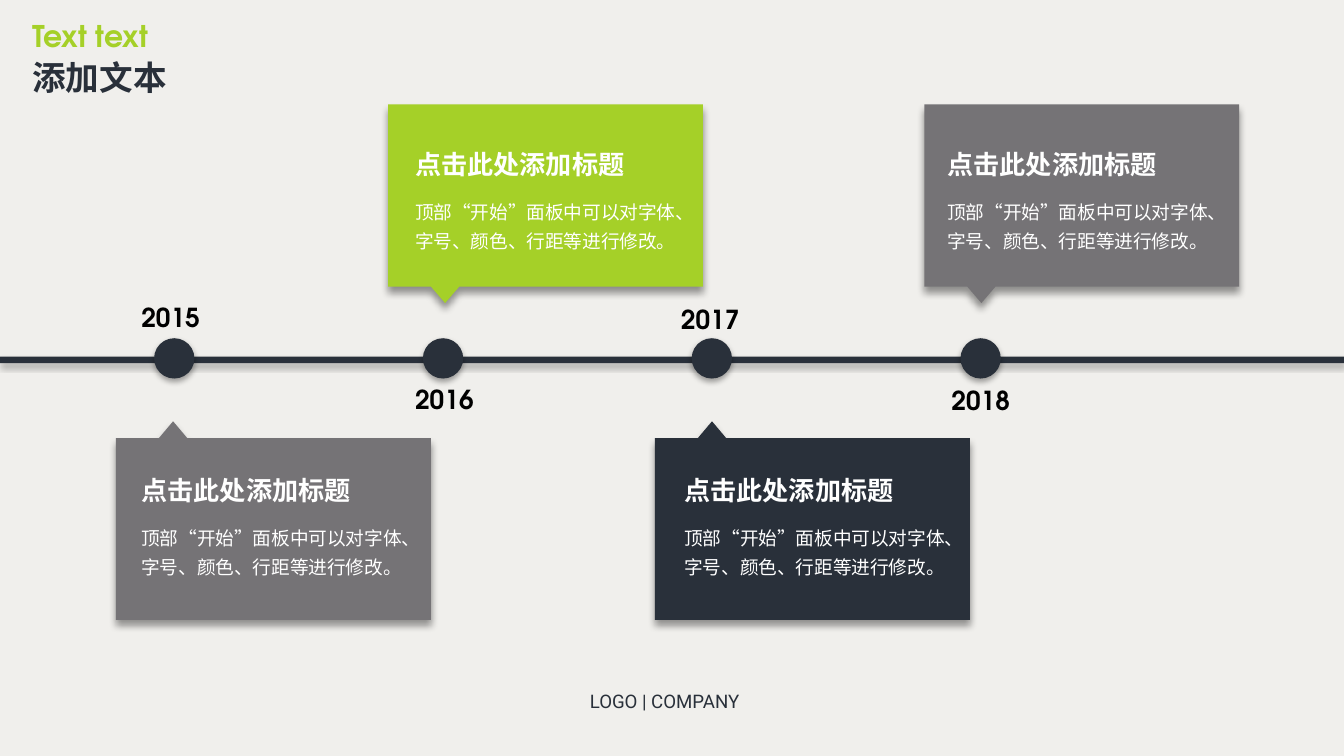
from typing import NamedTuple

from lxml.etree import SubElement
from pptx import Presentation
from pptx.dml.color import RGBColor
from pptx.enum.lang import MSO_LANGUAGE_ID
from pptx.enum.shapes import MSO_SHAPE
from pptx.enum.text import MSO_ANCHOR, MSO_AUTO_SIZE, PP_ALIGN
from pptx.oxml.ns import qn
from pptx.util import Inches, Pt

PAPER = RGBColor(0xF0, 0xEF, 0xEC)
GREEN = RGBColor(0xA5, 0xD0, 0x28)
NAVY = RGBColor(0x29, 0x30, 0x3A)
GRAY = RGBColor(0x75, 0x73, 0x76)
WHITE = RGBColor(0xFF, 0xFF, 0xFF)
BLACK = RGBColor(0x00, 0x00, 0x00)

WIDTH = Inches(10)
HEIGHT = WIDTH * 9 // 16
CELL = WIDTH / 100  # square grid, 100 columns wide
HEAD = "点击此处添加标题"
BODY = "顶部“开始”面板中可以对字体、字号、颜色、行距等进行修改。"


class Box(NamedTuple):
    """Place on the grid, in columns and rows."""
    left: float
    top: float
    width: float
    height: float


class Shade(NamedTuple):
    """Soft shadow falling straight down."""
    alpha: int
    blur: float
    drop: float


class Event(NamedTuple):
    year: str
    year_x: float
    year_y: float
    card_x: float
    text_x: float
    above: bool
    color: RGBColor


LIGHT = Shade(35, 3.1, 1.8)
DEEP = Shade(40, 4, 3)
EVENTS = [
    Event("2015", 9.5, 21.95, 8.63, 9.53, False, GRAY),
    Event("2016", 29.87, 28.05, 28.87, 29.9, True, GREEN),
    Event("2017", 49.65, 22.1, 48.73, 49.93, False, NAVY),
    Event("2018", 69.77, 28.1, 68.77, 69.5, True, GRAY),
]


def grid(*cells: float) -> list[int]:
    return [round(cell * CELL) for cell in cells]


def apply(target, values: dict) -> None:
    for name, value in values.items():
        setattr(target, name, value)


def paint(shape, color: RGBColor, shade: Shade) -> None:
    shape.fill.solid()
    shape.fill.fore_color.rgb = color
    shape.line.fill.background()
    shape.shadow.inherit = False
    effects = shape._element.spPr.find(qn("a:effectLst"))
    outer = SubElement(effects, qn("a:outerShdw"), {
        "blurRad": str(Pt(shade.blur)), "dist": str(Pt(shade.drop)),
        "dir": "5400000", "algn": "t", "rotWithShape": "0"})
    tint = SubElement(outer, qn("a:srgbClr"), val=str(BLACK))
    SubElement(tint, qn("a:alpha"), val=str(shade.alpha * 1000))


def write(shape, text: str, size: float, color: RGBColor, bold: bool = False,
          wrap: bool = False, face: str = "TeX Gyre Adventor",
          align: PP_ALIGN = PP_ALIGN.LEFT, space: float = 1.0) -> None:
    frame = shape.text_frame
    frame.text = text
    apply(frame, {"word_wrap": wrap, "auto_size": MSO_AUTO_SIZE.NONE,
                  "vertical_anchor": MSO_ANCHOR.TOP})
    para = frame.paragraphs[0]
    apply(para, {"alignment": align, "line_spacing": space})
    font = para.runs[0].font
    apply(font, {"name": face, "size": Pt(size), "bold": bold,
                 "language_id": MSO_LANGUAGE_ID.SIMPLIFIED_CHINESE})
    font.color.rgb = color


def label(shapes, box: Box, text: str, size: float, color: RGBColor,
          **style) -> None:
    write(shapes.add_textbox(*grid(*box)), text, size, color, **style)


def solid(shapes, kind: MSO_SHAPE, box: Box) -> None:
    paint(shapes.add_shape(kind, *grid(*box)), NAVY, LIGHT)


def card(shapes, event: Event) -> None:
    # The pointed edge faces the timeline
    tip, near, far = (22.55, 21.33, 7.77) if event.above else (31.35, 32.6, 46.13)
    outline = [(4.25, tip), (5.3, near), (23.43, near), (23.43, far),
               (0, far), (0, near), (3.2, near)]
    points = [grid(event.card_x + x, y) for x, y in outline]
    pen = shapes.build_freeform(*points[0])
    pen.add_line_segments(points[1:], close=True)
    paint(pen.convert_to_shape(), event.color, DEEP)

    # Heading and text of the card
    top = 10.53 if event.above else 34.8
    label(shapes, Box(event.text_x, top + 3.4, 21.6, 5.3), BODY, 10, WHITE,
          wrap=True, space=1.3)
    label(shapes, Box(event.text_x, top, 17.9, 3.4), HEAD, 14, WHITE, bold=True)


def main() -> None:
    deck = Presentation()
    apply(deck, {"slide_width": WIDTH, "slide_height": HEIGHT})
    slide = deck.slides.add_slide(deck.slide_layouts[5])
    slide.background.fill.solid()
    slide.background.fill.fore_color.rgb = PAPER
    shapes = slide.shapes

    # Title block
    label(shapes, Box(1.4, 0.85, 14.2, 3.7), "Text text", 16, GREEN,
          bold=True, wrap=True)
    title = shapes.title
    spot = Box(1.4, 3.7, 12.1, 4)
    apply(title, dict(zip(Box._fields, grid(*spot))))
    write(title, "添加文本", 18, NAVY, bold=True)

    # Timeline with evenly spaced dots
    solid(shapes, MSO_SHAPE.RECTANGLE, Box(0, 26.53, 100, 0.5))
    for step in range(len(EVENTS)):
        solid(shapes, MSO_SHAPE.OVAL, Box(11.47 + 20 * step, 25.17, 3, 3))

    # Cards and years
    for event in EVENTS:
        card(shapes, event)
        label(shapes, Box(event.year_x, event.year_y, 6.4, 3.4), event.year,
              14, BLACK, bold=True, align=PP_ALIGN.CENTER)

    # Footer
    label(shapes, Box(42.9, 50.85, 14.2, 2.7), "LOGO | COMPANY", 10, NAVY,
          face="Roboto")
    deck.save("out.pptx")


if __name__ == "__main__":
    main()
